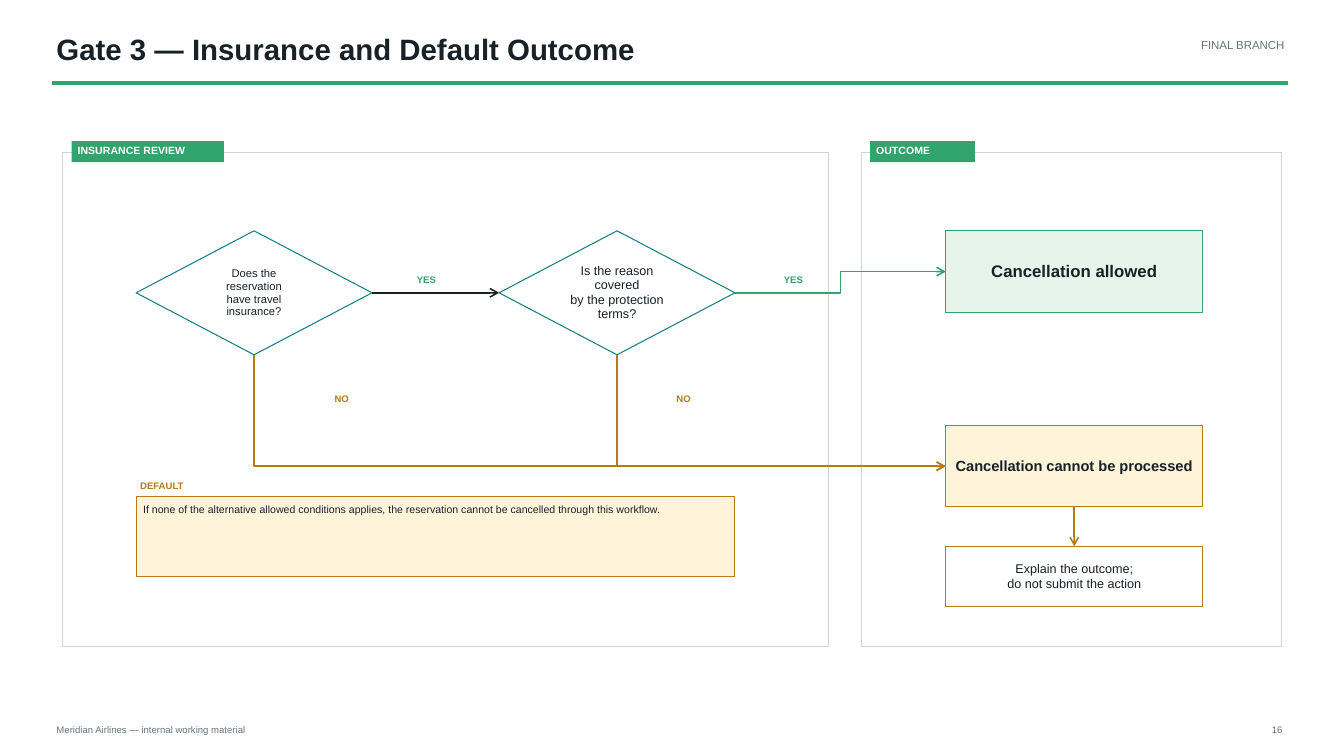
from lxml.etree import SubElement
from pptx import Presentation
from pptx.dml.color import RGBColor
from pptx.enum.shapes import MSO_CONNECTOR, MSO_SHAPE
from pptx.enum.text import MSO_ANCHOR, MSO_AUTO_SIZE, PP_ALIGN
from pptx.oxml.ns import qn
from pptx.util import Inches, Pt

INK, GRAY, WHITE, BORDER = "172126", "66747B", "FFFFFF", "CDD5D8"
GREEN, TEAL, AMBER = "31A36C", "137F86", "B87918"
PALE_GREEN, PALE_AMBER = "E7F4EC", "FFF4DA"
LEFT, CENTER, RIGHT = PP_ALIGN.LEFT, PP_ALIGN.CENTER, PP_ALIGN.RIGHT
TEXT_INSETS = (0.04, 0.02, 0.04, 0.02)
TAG_INSETS = (0.06, 0.03, 0.06, 0.02)
LABEL_INSETS = (0.02, 0.02, 0.02, 0.01)
NODE_INSETS = (0.07, 0.06, 0.07, 0.06)
NOTE_INSETS = (0.07, 0.07, 0.07, 0.05)

TITLE = "Gate 3 — Insurance and Default Outcome"
CAPTIONS = [
    ("FINAL BRANCH", (9.4, 0.36, 3.38, 0.31), 8.2, GRAY, False, RIGHT),
    ("DEFAULT", (1.35, 4.74, 5.94, 0.19), 6.8, AMBER, True, LEFT),
    ("Meridian Airlines — internal working material", (0.52, 7.16, 3.12, 0.19), 6.8, GRAY, False, LEFT),
    ("16", (12.24, 7.16, 0.52, 0.19), 6.8, GRAY, False, RIGHT),
]
PANELS = [
    ("INSURANCE REVIEW", 0.62, 7.6, 1.51),
    ("OUTCOME", 8.54, 4.17, 1.04),
]
DIAMOND, BOX = MSO_SHAPE.DIAMOND, MSO_SHAPE.RECTANGLE
NODES = {
    "insured": (DIAMOND, (1.35, 2.29, 2.34, 1.23), WHITE, TEAL, 8, False,
                ["Does the reservation", "have travel insurance?"]),
    "covered": (DIAMOND, (4.95, 2.29, 2.34, 1.23), WHITE, TEAL, 9, False,
                ["Is the reason covered", "by the protection terms?"]),
    "allowed": (BOX, (9.38, 2.29, 2.55, 0.81), PALE_GREEN, GREEN, 12, True,
                ["Cancellation allowed"]),
    "refused": (BOX, (9.38, 4.22, 2.55, 0.81), PALE_AMBER, AMBER, 10.5, True,
                ["Cancellation cannot be processed"]),
    "explain": (BOX, (9.38, 5.42, 2.55, 0.6), WHITE, AMBER, 9, False,
                ["Explain the outcome;", "do not submit the action"]),
}
TOP_SITE, LEFT_SITE, BOTTOM_SITE, RIGHT_SITE = range(4)
STRAIGHT, ELBOW = MSO_CONNECTOR.STRAIGHT, MSO_CONNECTOR.ELBOW
GLUED_ARROWS = [
    ("insured", RIGHT_SITE, "covered", LEFT_SITE, STRAIGHT, INK),
    ("covered", RIGHT_SITE, "allowed", LEFT_SITE, ELBOW, GREEN),
    ("refused", BOTTOM_SITE, "explain", TOP_SITE, STRAIGHT, AMBER),
]
REFUSALS = ["insured", "covered"]
BRANCH_LABELS = [
    ("YES", 3.96, 2.7, GREEN), ("YES", 7.6, 2.7, GREEN),
    ("NO", 3.12, 3.88, AMBER), ("NO", 6.51, 3.88, AMBER),
]
DEFAULT_RULE = ("If none of the alternative allowed conditions applies, "
                "the reservation cannot be cancelled through this workflow.")


def color(value):
    return RGBColor.from_string(value)


def write(shape, lines, size, ink, bold=False, align=LEFT, insets=TEXT_INSETS,
          anchor=MSO_ANCHOR.TOP, spacing=None):
    frame = shape.text_frame
    frame.word_wrap = True
    frame.auto_size = MSO_AUTO_SIZE.NONE
    frame.vertical_anchor = anchor
    frame.margin_left, frame.margin_top, frame.margin_right, frame.margin_bottom = map(Inches, insets)
    frame.text = "\n".join(lines)
    for paragraph in frame.paragraphs:
        paragraph.alignment = align
        paragraph.line_spacing = spacing
        paragraph.font.name = "Arial"
        paragraph.font.size = Pt(size)
        paragraph.font.bold = bold
        paragraph.font.color.rgb = color(ink)


def add_block(slide, kind, box, fill=None, outline=None, width=0.75):
    shape = slide.shapes.add_shape(kind, *map(Inches, box))
    shape.shadow.inherit = False
    if fill:
        shape.fill.solid()
        shape.fill.fore_color.rgb = color(fill)
    else:
        shape.fill.background()
    if outline:
        shape.line.color.rgb = color(outline)
        shape.line.width = Pt(width)
    else:
        shape.line.fill.background()
    return shape


def add_arrow(slide, kind, ink, start=(0, 0), end=(0, 0)):
    arrow = slide.shapes.add_connector(kind, *start, *end)
    arrow.line.color.rgb = color(ink)
    arrow.line.width = Pt(1.13)
    properties = arrow.element.spPr
    SubElement(properties.find(qn("a:ln")), qn("a:tailEnd"), type="arrow")
    SubElement(properties, qn("a:effectLst"))
    return arrow


def bend_at_start(arrow):
    geometry = arrow.element.spPr.find(qn("a:prstGeom"))
    adjustments = geometry.find(qn("a:avLst"))
    if adjustments is None:
        adjustments = SubElement(geometry, qn("a:avLst"))
    SubElement(adjustments, qn("a:gd"), name="adj1", fmla="val 0")


def add_header(slide):
    title = slide.shapes.title
    title.left, title.top, title.width, title.height = map(Inches, (0.52, 0.29, 8.85, 0.44))
    write(title, [TITLE], 21, INK, True)
    add_block(slide, BOX, (0.52, 0.81, 12.25, 0.03), GREEN, GREEN, 0)


def add_panels(slide):
    for name, left, width, tag_width in PANELS:
        add_block(slide, BOX, (left, 1.51, width, 4.9), None, BORDER)
        tag = add_block(slide, BOX, (left + 0.09, 1.4, tag_width, 0.21), GREEN)
        write(tag, [name], 7.5, WHITE, True, insets=TAG_INSETS)


def add_flow(slide):
    nodes = {}
    for name, (kind, box, fill, outline, size, bold, lines) in NODES.items():
        nodes[name] = add_block(slide, kind, box, fill, outline)
        write(nodes[name], lines, size, INK, bold, CENTER, NODE_INSETS, MSO_ANCHOR.MIDDLE, 0.96)

    for source, source_site, target, target_site, kind, ink in GLUED_ARROWS:
        arrow = add_arrow(slide, kind, ink)
        arrow.begin_connect(nodes[source], source_site)
        arrow.end_connect(nodes[target], target_site)

    refused = nodes["refused"]
    end = (refused.left, refused.top + refused.height // 2)
    for name in REFUSALS:
        node = nodes[name]
        start = (node.left + node.width // 2, node.top + node.height)
        bend_at_start(add_arrow(slide, ELBOW, AMBER, start, end))

    for text, left, top, ink in BRANCH_LABELS:
        label = add_block(slide, BOX, (left, top, 0.54, 0.19), WHITE)
        write(label, [text], 6.8, ink, True, CENTER, LABEL_INSETS)


def main():
    presentation = Presentation()
    presentation.slide_width = Inches(13.33)
    presentation.slide_height = Inches(7.5)
    slide = presentation.slides.add_slide(presentation.slide_layouts[5])
    add_header(slide)
    add_panels(slide)
    add_flow(slide)
    note = add_block(slide, BOX, (1.35, 4.93, 5.94, 0.79), PALE_AMBER, AMBER)
    write(note, [DEFAULT_RULE], 7.5, INK, insets=NOTE_INSETS, spacing=0.96)
    for text, box, size, ink, bold, align in CAPTIONS:
        caption = slide.shapes.add_textbox(*map(Inches, box))
        write(caption, [text], size, ink, bold, align)
    presentation.save("out.pptx")


if __name__ == "__main__":
    main()
